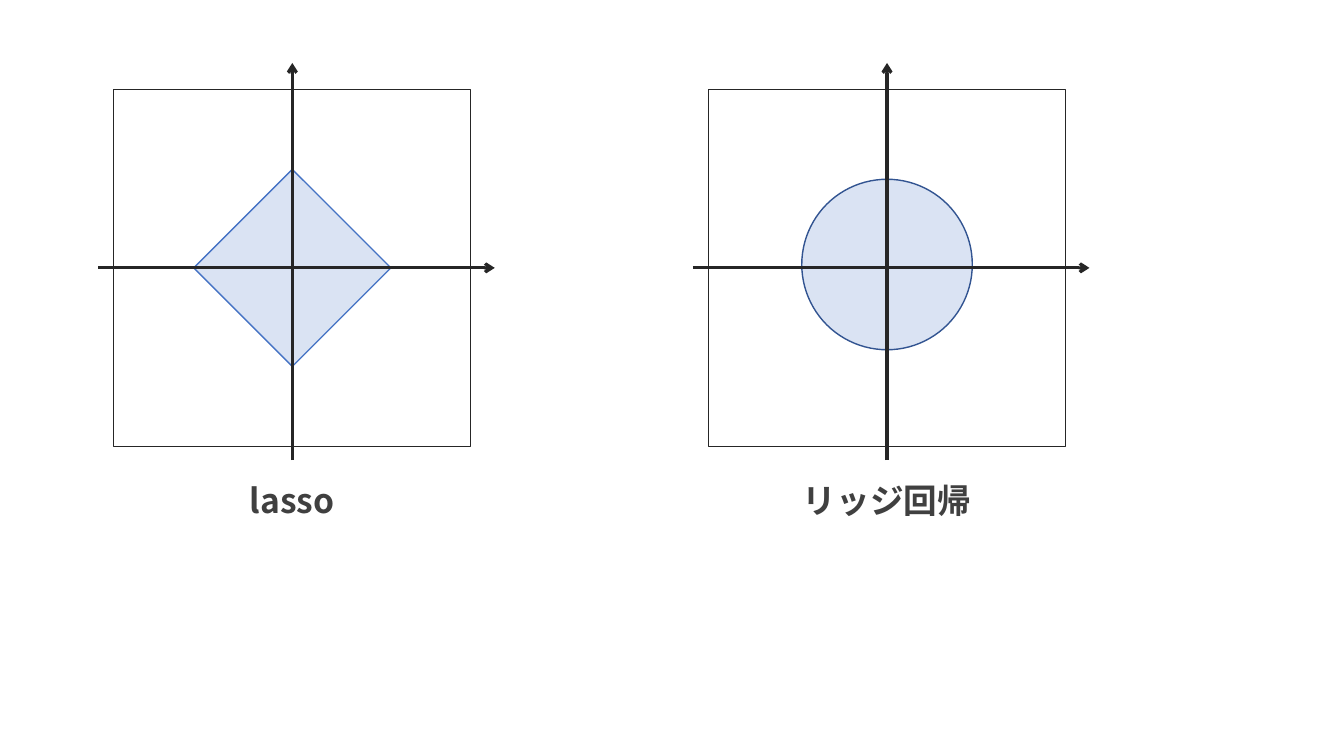
"""Draw the constraint regions of lasso and ridge regression side by side."""
from lxml import etree
from pptx import Presentation
from pptx import util as u
from pptx.dml.color import RGBColor
from pptx.enum import shapes, text
from pptx.oxml.ns import qn

INK = RGBColor(0x26, 0x26, 0x26)
LABEL = RGBColor(0x40, 0x40, 0x40)
REGION = RGBColor(0xDA, 0xE3, 0xF3)
LASSO_EDGE = RGBColor(0x44, 0x72, 0xC4)
RIDGE_EDGE = RGBColor(0x32, 0x54, 0x91)
FONT = "Noto Sans CJK JP"
COLUMNS = 16


def write(frame, words, size=24, color=LABEL, bold=True, align=text.PP_ALIGN.CENTER):
    """Put formatted words into a text frame."""
    paragraph = frame.paragraphs[0]
    paragraph.alignment = align
    run = paragraph.add_run()
    run.text = words
    run.font.name, run.font.size, run.font.bold = FONT, u.Pt(size), bold
    run.font.color.rgb = color
    etree.SubElement(run.font._element, qn("a:ea"), typeface=FONT)


class Diagram:
    """Place elements on a slide by square grid cells."""

    def __init__(self, deck):
        """Add a blank slide and derive the cell size."""
        self.slide = deck.slides.add_slide(deck.slide_layouts[6])
        self.cell = deck.slide_width / COLUMNS

    def cells(self, *counts):
        """Convert cell counts to lengths."""
        return [u.Emu(round(count * self.cell)) for count in counts]

    def box(self, x, y, width, height):
        """Give the bounds of a box centred on x and y."""
        return self.cells(x - width / 2, y - height / 2, width, height)

    def outline(self, kind, x, y, size, edge, fill=None, turn=0):
        """Draw a centred shape with equal sides."""
        shape = self.slide.shapes.add_shape(kind, *self.box(x, y, size, size))
        shape.shadow.inherit = False
        shape.rotation = turn
        shape.line.color.rgb, shape.line.width = edge, u.Pt(1)
        if fill is None:
            shape.fill.background()
        else:
            shape.fill.solid()
            shape.fill.fore_color.rgb = fill

    def arrow(self, *ends):
        """Draw an axis with an arrowhead at its far end."""
        axis = self.slide.shapes.add_connector(
            shapes.MSO_CONNECTOR.STRAIGHT, *self.cells(*ends))
        axis.line.color.rgb, axis.line.width = INK, u.Pt(2.25)
        etree.SubElement(axis.line._get_or_add_ln(), qn("a:tailEnd"), type="arrow")
        etree.SubElement(axis._element.spPr, qn("a:effectLst"))

    def label(self, words, x, y, width):
        """Write a centred caption on one line."""
        frame = self.slide.shapes.add_textbox(*self.box(x, y, width, 0.6)).text_frame
        frame.word_wrap = False
        frame.auto_size = text.MSO_AUTO_SIZE.SHAPE_TO_FIT_TEXT
        write(frame, words)

    def plot(self, name, x, y, label_width, region):
        """Draw a framed region, its axes and its name."""
        self.outline(shapes.MSO_SHAPE.RECTANGLE, x, y, 4.25, INK)
        self.outline(x=x, fill=REGION, **region)
        self.arrow(x - 2.31, y, x + 2.41, y)
        self.arrow(x, y + 2.29, x, y - 2.44)
        self.label(name, x, 5.95, label_width)


def main():
    """Build and save the slide."""
    deck = Presentation()
    deck.slide_width, deck.slide_height = u.Inches(13.33), u.Inches(7.5)
    diagram = Diagram(deck)
    diamond = dict(kind=shapes.MSO_SHAPE.RECTANGLE, y=3.19, size=1.66,
                   edge=LASSO_EDGE, turn=45)
    circle = dict(kind=shapes.MSO_SHAPE.OVAL, y=3.15, size=2.03, edge=RIDGE_EDGE)
    diagram.plot("lasso", 3.48, 3.19, 1.26, diamond)
    diagram.plot("リッジ回帰", 10.56, 3.19, 2.26, circle)
    deck.save("out.pptx")


if __name__ == "__main__":
    main()
